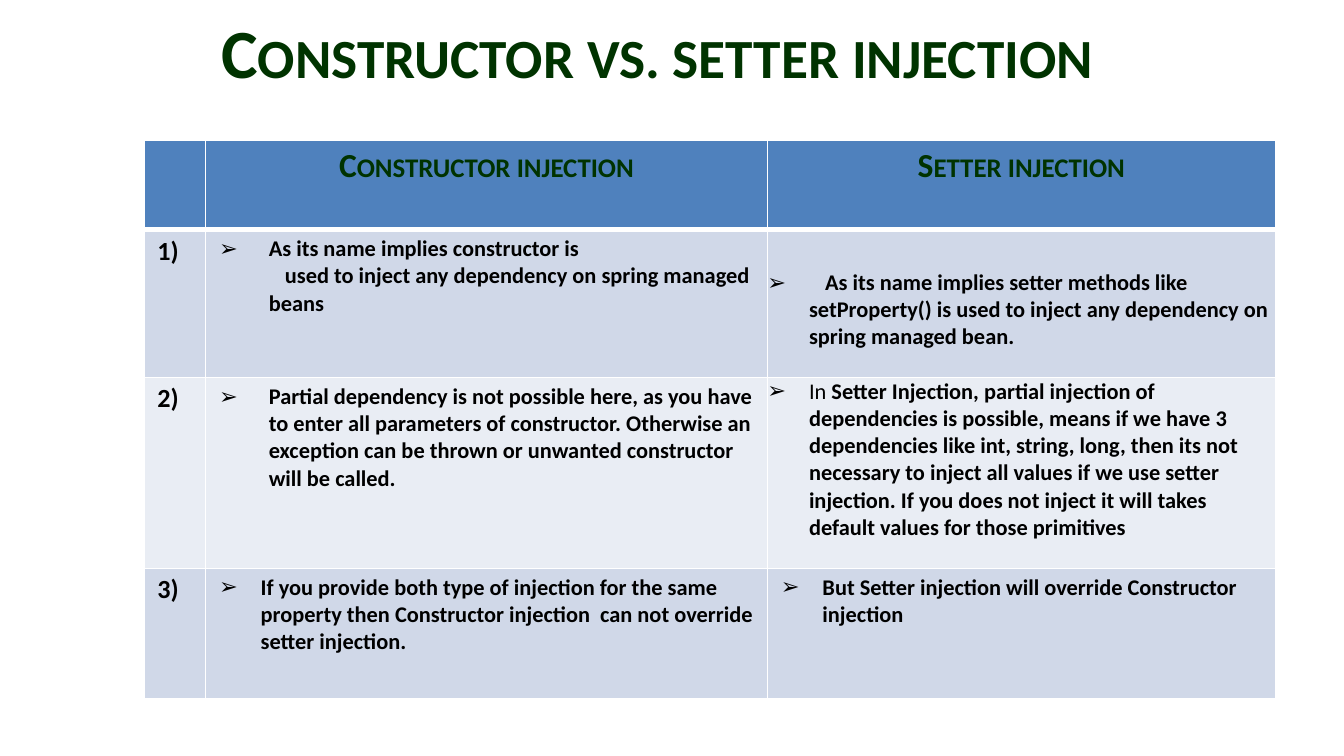
"""Build a slide that compares constructor injection with setter injection."""
from lxml import etree
from pptx import Presentation
from pptx.dml.color import RGBColor
from pptx.enum.text import MSO_ANCHOR, PP_ALIGN
from pptx.oxml.ns import qn
from pptx.util import Inches, Pt

CENTER, LEFT = PP_ALIGN.CENTER, PP_ALIGN.LEFT
TOP, MIDDLE, BOTTOM = MSO_ANCHOR.TOP, MSO_ANCHOR.MIDDLE, MSO_ANCHOR.BOTTOM

FONT = "Calibri"
GREEN, BLACK, WHITE = "003300", "000000", "FFFFFF"
HEADER_FILL = "4F81BD"
BAND_FILLS = ["D0D8E8", "E9EDF4"]
PADDED = (0.1, 0.04, 0.1, 0.04)
LOWERED = (0, 0, 0, 0.2)

SLIDE_WIDTH = 10
SLIDE_HEIGHT = SLIDE_WIDTH * 9 / 16
TITLE = "Constructor vs. setter injection"
HEADINGS = ["", "Constructor injection", "Setter injection"]
COLUMN_WIDTHS = [0.46, 4.18, 3.78]
ROW_HEIGHTS = [0.67, 1.1, 1.42, 0.97]

# Each point is a list of (left margin, first-line indent, [(text, bold), ...]).
POINTS = [
    (
        [(0.37, -0.37, [("As its name implies constructor is", True)]),
         (0.37, 0.12, [("used to inject any dependency on spring managed beans", True)])],
        [(0.43, -0.43, [("As its name implies setter methods like", True)]),
         (0.31, 0, [("setProperty() is used to inject any dependency on "
                     "spring managed bean.", True)])],
        LOWERED,
    ),
    (
        [(0.37, -0.37, [("Partial dependency is not possible here, as you have to enter all "
                         "parameters of constructor. Otherwise an exception can be thrown or "
                         "unwanted constructor will be called.", True)])],
        [(0.31, -0.31, [("In", False),
                        (" Setter Injection, partial injection of dependencies is possible, "
                         "means if we have 3 dependencies like int, string, long, then its not "
                         "necessary to inject all values if we use setter injection. If you "
                         "does not inject it will takes default values for those primitives",
                         True)])],
        LOWERED,
    ),
    (
        [(0.31, -0.31, [("If you provide both type of injection for the same property then "
                         "Constructor injection  can not override setter injection.", True)])],
        [(0.31, -0.31, [("But Setter injection will override Constructor injection", True)])],
        PADDED,
    ),
]


def rgb(value):
    """Turn a hex string into a colour."""
    return RGBColor.from_string(value)


def add_run(paragraph, text, size, color=BLACK, bold=True, small_caps=False):
    """Append one styled run."""
    run = paragraph.add_run()
    run.text = text
    run.font.name, run.font.size, run.font.bold = FONT, Pt(size), bold
    run.font.color.rgb = rgb(color)
    if small_caps:
        run.font._element.set("cap", "small")


def add_point(frame, parts):
    """Write a point, with a bullet on each hanging paragraph."""
    for i, (margin, indent, runs) in enumerate(parts):
        paragraph = frame.add_paragraph() if i else frame.paragraphs[0]
        paragraph.alignment = LEFT
        properties = paragraph._p.get_or_add_pPr()
        properties.set("marL", str(Inches(margin)))
        properties.set("indent", str(Inches(indent)))
        if indent < 0:
            etree.SubElement(properties, qn("a:buFont"), typeface=FONT)
            etree.SubElement(properties, qn("a:buChar"), char="➢")
        else:
            etree.SubElement(properties, qn("a:buNone"))
        for text, bold in runs:
            add_run(paragraph, text, 12, bold=bold)


def style_cell(cell, fill, insets, anchor, top_width, bottom_width):
    """Set the fill, insets, anchor and white borders of a cell."""
    cell.fill.solid()
    cell.fill.fore_color.rgb = rgb(fill)
    cell.margin_left, cell.margin_top, cell.margin_right, cell.margin_bottom = map(Inches, insets)
    cell.vertical_anchor = anchor
    borders = [("L", 1), ("R", 1), ("T", top_width), ("B", bottom_width)]
    for i, (side, width) in enumerate(borders):
        line = etree.Element(qn(f"a:ln{side}"), w=str(Pt(width)))
        solid = etree.SubElement(line, qn("a:solidFill"))
        etree.SubElement(solid, qn("a:srgbClr"), val=WHITE)
        cell._tc.get_or_add_tcPr().insert(i, line)


def add_title(slide):
    """Add the centred title."""
    title = slide.shapes.add_textbox(Inches(0), Inches(0), Inches(9.78), Inches(0.76))
    frame = title.text_frame
    frame.word_wrap = True
    frame.vertical_anchor = MIDDLE
    frame.paragraphs[0].alignment = CENTER
    add_run(frame.paragraphs[0], TITLE, 37, GREEN, small_caps=True)


def add_comparison(slide):
    """Add the table of numbered points."""
    table = slide.shapes.add_table(
        len(ROW_HEIGHTS), len(COLUMN_WIDTHS), Inches(1.07), Inches(1.04),
        Inches(sum(COLUMN_WIDTHS)), Inches(sum(ROW_HEIGHTS))).table
    for column, width in zip(table.columns, COLUMN_WIDTHS):
        column.width = Inches(width)
    for row, height in zip(table.rows, ROW_HEIGHTS):
        row.height = Inches(height)

    for col, heading in enumerate(HEADINGS):
        cell = table.cell(0, col)
        style_cell(cell, HEADER_FILL, PADDED, TOP, 1, 3)
        if heading:
            paragraph = cell.text_frame.paragraphs[0]
            paragraph.alignment = CENTER
            add_run(paragraph, heading, 18, GREEN, small_caps=True)

    for row, (constructor, setter, setter_insets) in enumerate(POINTS, 1):
        fill = BAND_FILLS[(row - 1) % 2]
        top_width = 3 if row == 1 else 1
        number_cell, constructor_cell, setter_cell = table.rows[row].cells
        for cell in (number_cell, constructor_cell):
            style_cell(cell, fill, PADDED, TOP, top_width, 1)
        setter_anchor = BOTTOM if setter_insets == LOWERED else TOP
        style_cell(setter_cell, fill, setter_insets, setter_anchor, top_width, 1)
        add_run(number_cell.text_frame.paragraphs[0], f"{row})", 14)
        add_point(constructor_cell.text_frame, constructor)
        add_point(setter_cell.text_frame, setter)


def main():
    """Create and save the presentation."""
    presentation = Presentation()
    presentation.slide_width = Inches(SLIDE_WIDTH)
    presentation.slide_height = Inches(SLIDE_HEIGHT)
    slide = presentation.slides.add_slide(presentation.slide_layouts[6])
    add_title(slide)
    add_comparison(slide)
    presentation.save("out.pptx")


if __name__ == "__main__":
    main()
